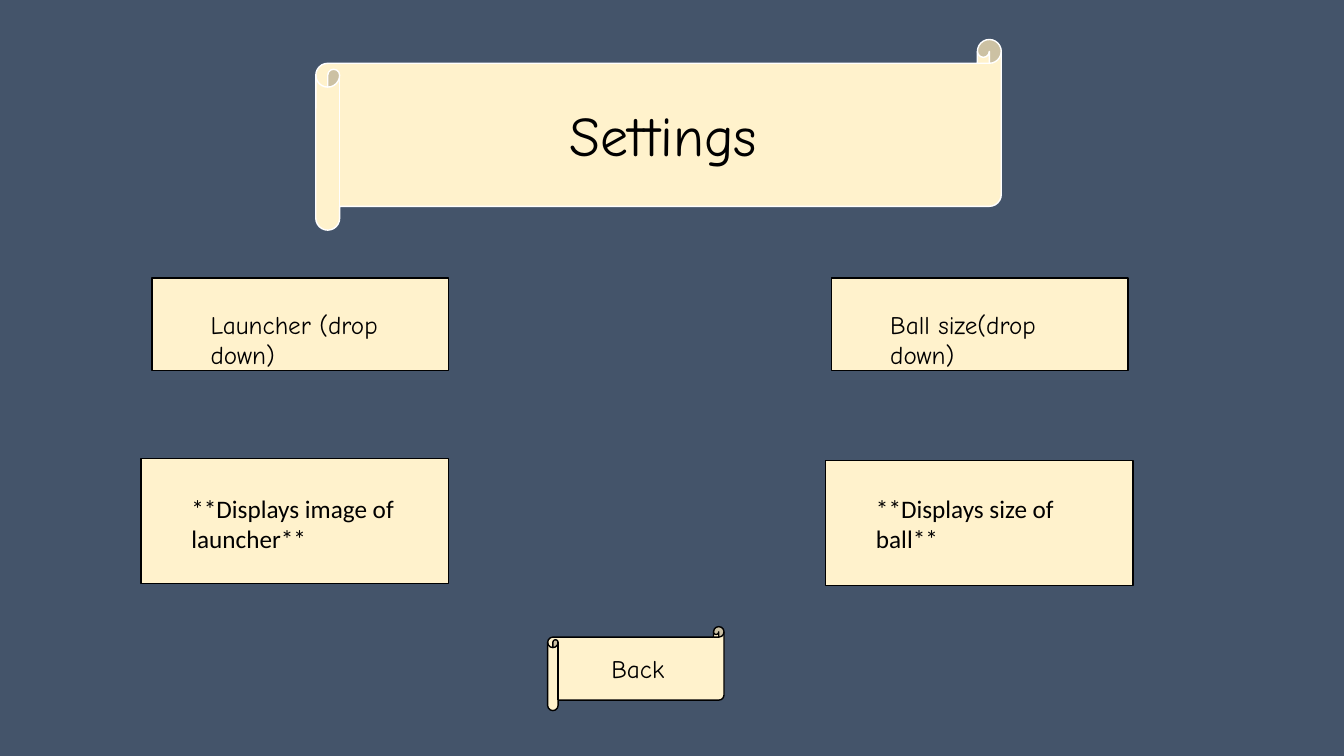
from pptx import Presentation
from pptx.dml.color import RGBColor
from pptx.enum.shapes import MSO_SHAPE
from pptx.enum.text import MSO_ANCHOR, MSO_AUTO_SIZE, PP_ALIGN
from pptx.util import Inches, Pt

SLATE = RGBColor(0x44, 0x54, 0x6A)
PARCHMENT = RGBColor(0xFF, 0xF2, 0xCC)
WHITE = RGBColor(0xFF, 0xFF, 0xFF)
BLACK = RGBColor(0x00, 0x00, 0x00)
HAND_FONT = "Comic Neue"
PLAIN_FONT = "Calibri"

# The slide is a grid of 16 columns by 9 rows
WIDTH, HEIGHT = Inches(13.33), Inches(7.5)
COLUMN, ROW = WIDTH / 16, HEIGHT / 9


def grid(column, row, columns, rows):
    """Turn grid units into left, top, width and height."""
    return (int(column * COLUMN), int(row * ROW),
            int(columns * COLUMN), int(rows * ROW))


def add_panel(slide, kind, area, line_color=BLACK):
    shape = slide.shapes.add_shape(kind, *grid(*area))
    shape.shadow.inherit = False
    shape.fill.solid()
    shape.fill.fore_color.rgb = PARCHMENT
    shape.line.color.rgb = line_color
    shape.line.width = Pt(1)


def write(shape, text, font, size):
    frame = shape.text_frame
    frame.word_wrap = True
    frame.auto_size = MSO_AUTO_SIZE.NONE
    frame.vertical_anchor = MSO_ANCHOR.TOP
    paragraph = frame.paragraphs[0]
    paragraph.alignment = PP_ALIGN.LEFT
    run = paragraph.add_run()
    run.text = text
    run.font.name = font
    run.font.size = Pt(size)
    run.font.color.rgb = BLACK


def add_label(slide, text, area, font=HAND_FONT):
    write(slide.shapes.add_textbox(*grid(*area)), text, font, 18)


def add_title(slide, text, area):
    title = slide.shapes.title
    title.left, title.top, title.width, title.height = grid(*area)
    write(title, text, HAND_FONT, 40)
    # Bring the title in front of its scroll
    slide.shapes.element.append(title.element)


def add_setting(slide, text, column):
    add_panel(slide, MSO_SHAPE.RECTANGLE, (column, 3.31, 3.53, 1.1))
    add_label(slide, text, (column + 0.58, 3.62, 2.36, 0.48))


def add_preview(slide, text, column, row):
    add_panel(slide, MSO_SHAPE.RECTANGLE, (column, row, 3.66, 1.49))
    add_label(slide, text, (column + 0.48, 5.81, 2.71, 0.85), PLAIN_FONT)


def main():
    presentation = Presentation()
    presentation.slide_width, presentation.slide_height = WIDTH, HEIGHT
    slide = presentation.slides.add_slide(presentation.slide_layouts[5])
    slide.background.fill.solid()
    slide.background.fill.fore_color.rgb = SLATE

    # Heading scroll
    add_panel(slide, MSO_SHAPE.HORIZONTAL_SCROLL, (3.76, 0.47, 8.16, 2.27), WHITE)
    add_title(slide, "Settings", (6.66, 1.14, 4.28, 0.92))

    # Settings with their previews below
    add_setting(slide, "Launcher (drop down)", 1.81)
    add_setting(slide, "Ball size(drop down)", 9.9)
    add_preview(slide, "**Displays image of launcher**", 1.68, 5.46)
    add_preview(slide, "**Displays size of ball**", 9.83, 5.48)

    # Back button
    add_panel(slide, MSO_SHAPE.HORIZONTAL_SCROLL, (6.52, 7.46, 2.1, 1))
    add_label(slide, "Back", (7.16, 7.72, 1.33, 0.48))

    presentation.save("out.pptx")


main()
